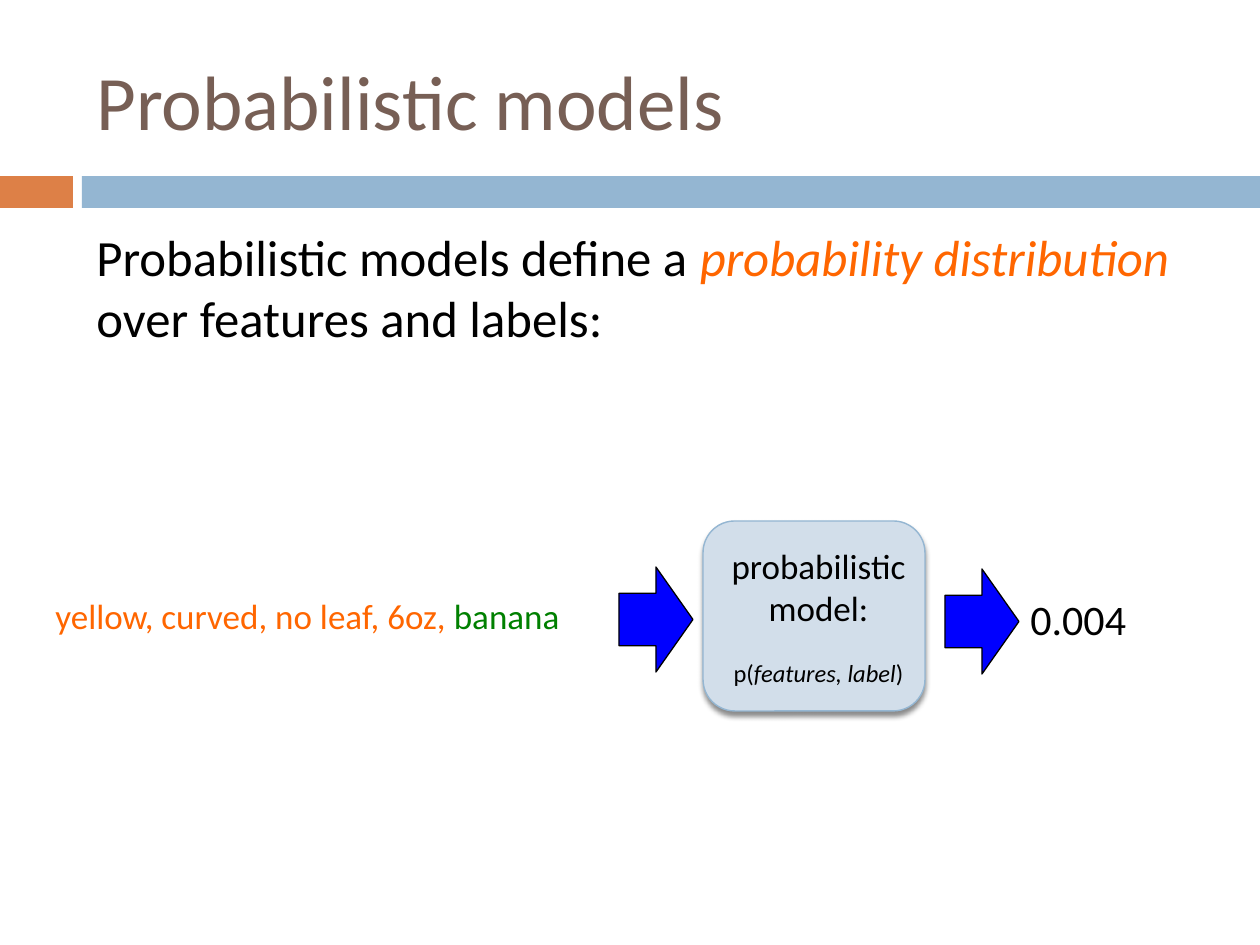
import lxml.etree
import pptx
import pptx.dml.color
import pptx.enum.shapes
import pptx.enum.text
import pptx.oxml.ns
import pptx.util

EMU_PER_PX = 914400 / 126
FONT = "Calibri"
COLORS = {
    "title": "775F55",
    "accent": "DD8047",
    "band": "94B6D2",
    "model": "D2DEEA",
    "arrow": "0000FF",
    "features": "FF6600",
    "label": "008000",
    "black": "000000",
}
SHAPES = pptx.enum.shapes.MSO_SHAPE
ALIGN = pptx.enum.text.PP_ALIGN
ANCHOR = pptx.enum.text.MSO_ANCHOR


def px(length):
    """Turn pixels into EMU."""
    return pptx.util.Emu(round(length * EMU_PER_PX))


def rgb(name):
    """Look up a named colour."""
    return pptx.dml.color.RGBColor.from_string(COLORS[name])


def add_shape(slide, kind, box, fill, line=None, width=0.75):
    """Add a filled preset shape, outlined if a line colour is given."""
    shape = slide.shapes.add_shape(kind, *map(px, box))
    shape.shadow.inherit = False
    shape.fill.solid()
    shape.fill.fore_color.rgb = rgb(fill)
    if line:
        shape.line.color.rgb = rgb(line)
        shape.line.width = pptx.util.Pt(width)
    else:
        shape.line.fill.background()
    return shape


def add_drop_shadow(shape):
    """Give a shape a soft shadow straight below it."""
    effects = shape._element.spPr.find(pptx.oxml.ns.qn("a:effectLst"))
    shadow = lxml.etree.SubElement(
        effects, pptx.oxml.ns.qn("a:outerShdw"),
        blurRad="38100", dist="30480", dir="5400000", rotWithShape="0")
    color = lxml.etree.SubElement(
        shadow, pptx.oxml.ns.qn("a:srgbClr"), val=COLORS["black"])
    lxml.etree.SubElement(color, pptx.oxml.ns.qn("a:alpha"), val="45000")


def add_text_frame(slide, box, wrap=True, anchor=ANCHOR.TOP):
    """Add a text box and return its frame."""
    frame = slide.shapes.add_textbox(*map(px, box)).text_frame
    frame.word_wrap = wrap
    frame.vertical_anchor = anchor
    return frame


def add_run(paragraph, text, size, color="black", italic=False):
    """Append formatted text to a paragraph."""
    run = paragraph.add_run()
    run.text = text
    run.font.name = FONT
    run.font.size = pptx.util.Pt(size)
    run.font.color.rgb = rgb(color)
    run.font.italic = italic


def add_header(slide, left, top, width, height):
    """Place the title above a two-part band."""
    frame = add_text_frame(
        slide, (left + 84, top + 32, 1124, 136), anchor=ANCHOR.MIDDLE)
    add_run(frame.paragraphs[0], "Probabilistic models", 44, "title")
    band_top, band_height = top + height - 32, 32
    add_shape(slide, SHAPES.RECTANGLE,
              (left, band_top, 73, band_height), "accent")
    add_shape(slide, SHAPES.RECTANGLE,
              (left + 82, band_top, width - 82, band_height), "band")


def add_statement(slide, *box):
    """Place the definition sentence."""
    paragraph = add_text_frame(slide, box).paragraphs[0]
    paragraph.space_before = pptx.util.Pt(7)
    add_run(paragraph, "Probabilistic models define a ", 29)
    add_run(paragraph, "probability distribution", 29, "features", italic=True)
    add_run(paragraph, " over features and labels:", 29)


def add_model(slide, left, top, width, height):
    """Place the rounded model box with its name and formula."""
    shape = add_shape(slide, SHAPES.ROUNDED_RECTANGLE,
                      (left, top, width, height), "model", "band", 0.79)
    add_drop_shadow(shape)
    frame = add_text_frame(slide, (left, top + 17, width + 9, height - 32))
    name = frame.paragraphs[0]
    formula = frame.add_paragraph()
    name.alignment = formula.alignment = ALIGN.CENTER
    formula.space_before = pptx.util.Pt(17)
    add_run(name, "probabilistic model:", 20)
    add_run(formula, "p(", 14)
    add_run(formula, "features, label", 14, italic=True)
    add_run(formula, ")", 14)


def add_flow(slide, left, top, width, height):
    """Place the example, the model and its output, joined by arrows."""
    example = add_text_frame(
        slide, (left, top + 67, 536, 55), wrap=False).paragraphs[0]
    add_run(example, "yellow, curved, no leaf, 6oz, ", 20, "features")
    add_run(example, "banana", 20, "label")
    add_model(slide, left + 660, top, 222, height)
    for arrow_left, arrow_top in ((576, 46), (902, 48)):
        add_shape(slide, SHAPES.RIGHT_ARROW,
                  (left + arrow_left, top + arrow_top, 74, 105),
                  "arrow", "black")
    output = add_text_frame(
        slide, (left + width - 128, top + 66, 128, 63), wrap=False)
    add_run(output.paragraphs[0], "0.004", 24)


def main():
    """Build and save the slide."""
    presentation = pptx.Presentation()
    presentation.slide_width = px(1260)
    presentation.slide_height = px(945)
    slide = presentation.slides.add_slide(presentation.slide_layouts[6])
    add_header(slide, 0, 0, 1260, 208)
    add_statement(slide, 84, 220, 1124, 148)
    add_flow(slide, 43, 521, 1103, 190)
    presentation.save("out.pptx")


if __name__ == "__main__":
    main()
